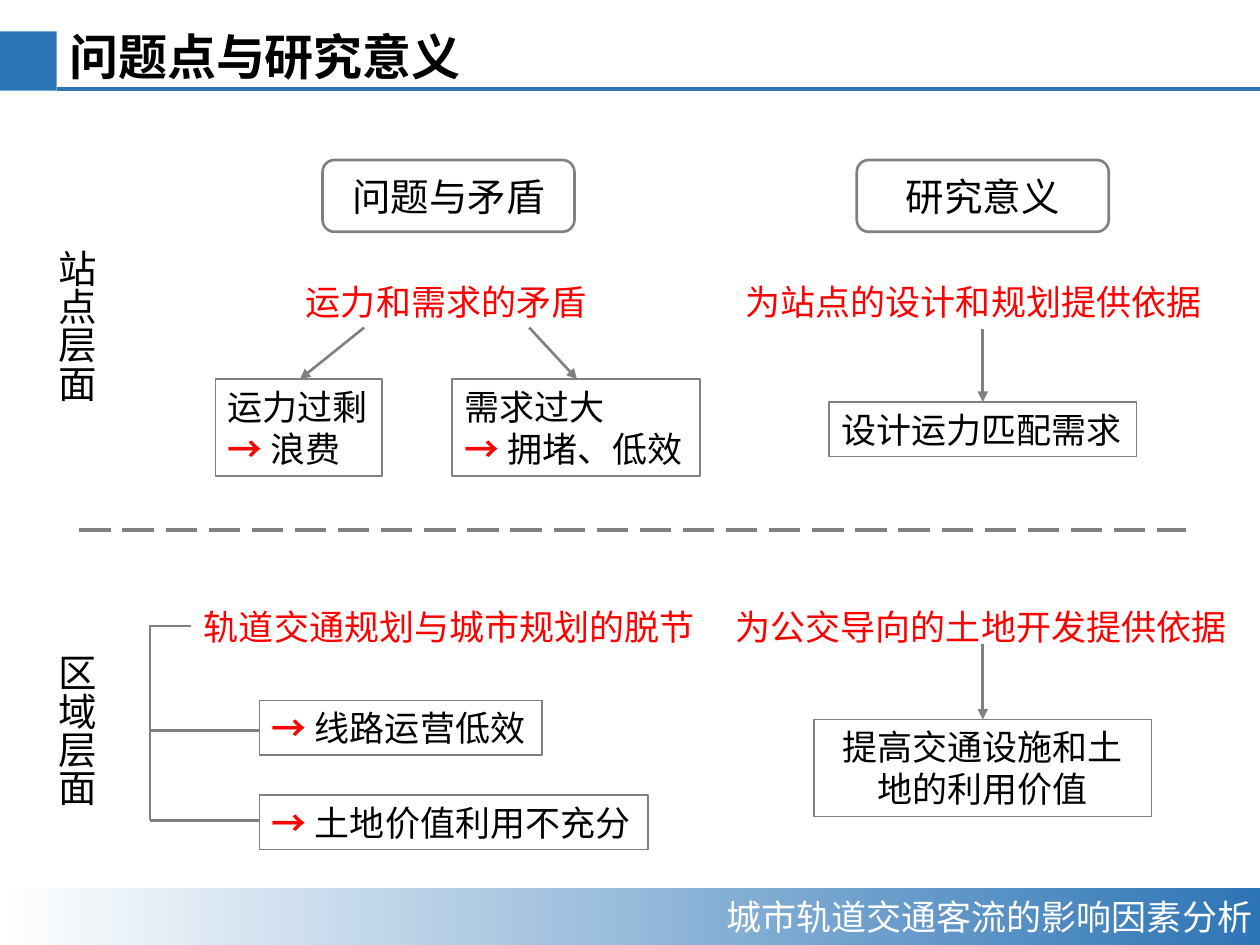
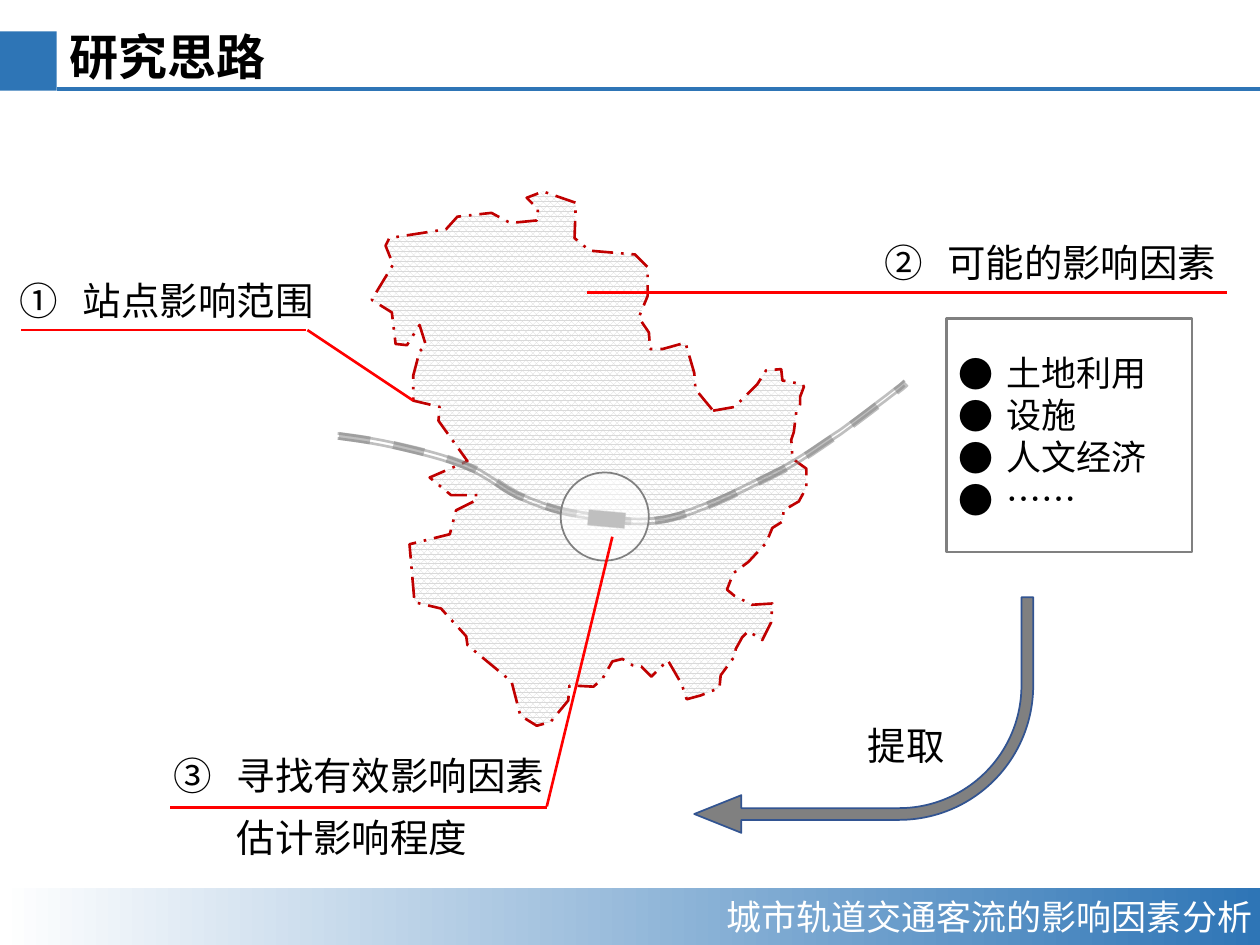
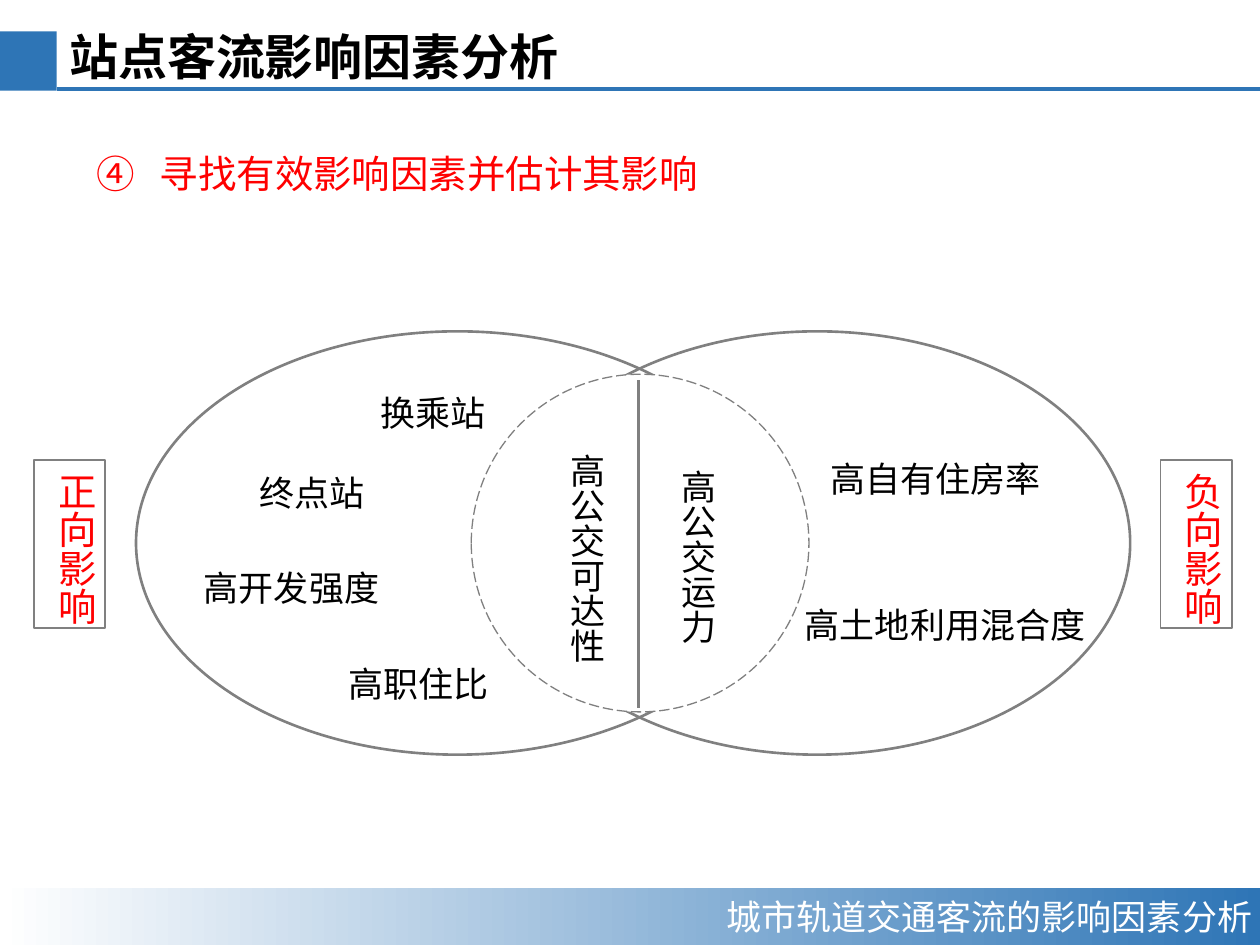
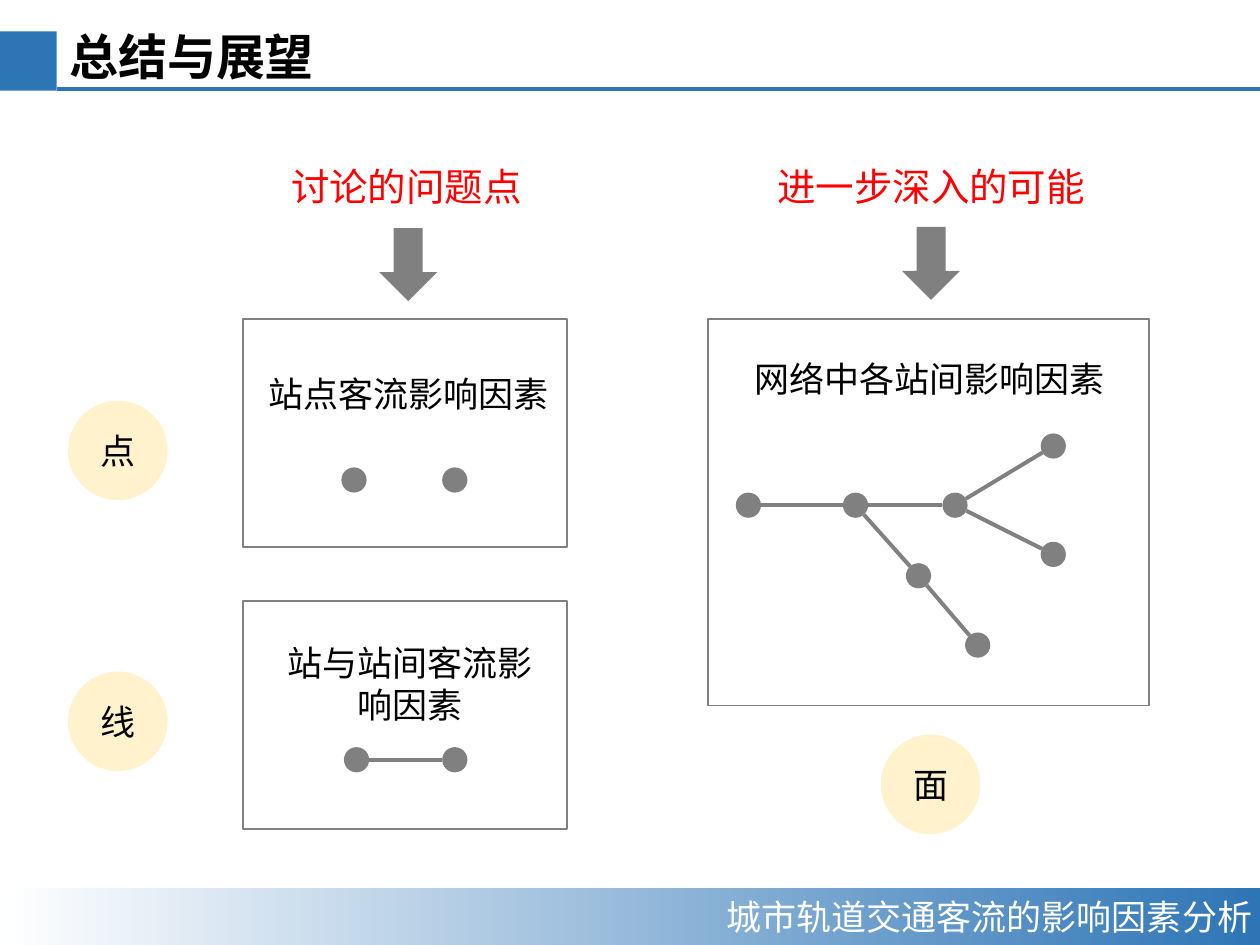
"""Builds a four-page deck on the factors behind urban rail ridership."""
from math import hypot

from lxml.etree import SubElement
from pptx import Presentation
from pptx.dml.color import RGBColor
from pptx.enum.dml import MSO_LINE as Dash, MSO_PATTERN as Pattern
from pptx.enum.shapes import MSO_CONNECTOR as Connector, MSO_SHAPE as Shape
from pptx.enum.text import MSO_ANCHOR as Anchor, MSO_AUTO_SIZE as AutoSize, PP_ALIGN as Align
from pptx.oxml.ns import qn
from pptx.util import Inches, Pt

FONT = "Noto Sans CJK SC"
BLACK = RGBColor(0x00, 0x00, 0x00)
WHITE = RGBColor(0xFF, 0xFF, 0xFF)
RED = RGBColor(0xFF, 0x00, 0x00)
DARK_RED = RGBColor(0xC0, 0x00, 0x00)
BLUE = RGBColor(0x2E, 0x75, 0xB6)
DEEP_BLUE = RGBColor(0x32, 0x54, 0x91)
GRAY = RGBColor(0x80, 0x80, 0x80)
PALE_GRAY = RGBColor(0xD9, 0xD9, 0xD9)
CREAM = RGBColor(0xFF, 0xF2, 0xCC)

COLUMNS = 100
ARROW = "→ "
ARROW_WIDTH = 1.3
NUMBER_INDENT = 5
DOT_RADIUS = 1
FOOTER = "城市轨道交通客流的影响因素分析"
TITLE_ONLY, TITLE_AND_BODY = 5, 1

REGION = [
    (56.6, 32.6), (58.3, 32.3), (60.1, 30.5), (60.8, 29.4), (62, 29.3), (62.1, 30.2),
    (63.7, 30.5), (63.8, 30.7), (63.5, 31.5), (63.5, 32.1), (63.2, 32.7), (63, 34.3),
    (62.8, 34.9), (62.9, 36.4), (64, 37.2), (64, 38.7), (63.4, 39.8), (62.2, 40.5),
    (62.1, 41.4), (61.3, 41.9), (60.8, 43.1), (59.4, 44.6), (58.2, 45.5), (57.7, 46.8),
    (58.3, 47.3), (59.7, 48), (61.3, 47.9), (61.2, 49.4), (60.5, 50.8), (59.4, 50.1),
    (58.9, 50.6), (58.4, 51.5), (58.3, 52.1), (57.2, 53.6), (57.1, 54.6), (55.6, 55.2),
    (54.5, 55.5), (54.1, 54.3), (53, 52.4), (51.7, 53.7), (50.9, 52.9), (50.2, 52.8),
    (49.4, 52.3), (48.6, 52.5), (47.8, 53.9), (47.1, 54.5), (45.2, 54.4), (45.1, 55.6),
    (43.7, 57.3), (42.6, 57.6), (41.3, 56.8), (40.6, 54.1), (37.1, 51.2), (37, 50.5),
    (35, 48.3), (32.9, 47.8), (32.5, 43.2), (35.7, 42.4), (36.2, 40.5), (37.6, 39.8),
    (37.9, 39.3), (35.8, 39.3), (34.1, 37.9), (37.1, 36.6), (34.8, 33.4), (34.9, 32.3),
    (32.8, 31.8), (32.8, 29.8), (33.3, 27.9), (33.8, 27.4), (33.3, 25.8), (32.3, 27.4),
    (31.4, 27.3), (31.1, 24.8), (29.5, 23.8), (31.2, 21), (30.6, 19.5), (30.9, 18.9),
    (35.4, 18.2), (36.3, 17.2), (39, 16.9), (40.5, 17.7), (42.6, 17.5), (42.7, 16.6),
    (41.8, 15.7), (43.1, 15.2), (45.7, 16.1), (45.6, 18.9), (46.8, 19.9), (50.4, 20.2),
    (51.4, 21.2), (51.4, 23.5), (50.7, 25.2), (51.5, 26.4), (51.6, 27.7), (52.6, 27.7),
    (54.4, 27.2), (55.1, 29.6), (55.2, 30.9),
]
RAIL = [
    (26.9, 34.6), (28.4, 34.8), (29.9, 35), (31.6, 35.4), (33.3, 35.8), (35.5, 36.3),
    (37.1, 37), (38.7, 37.6), (39.7, 38.6), (41.1, 39.3), (42.6, 39.9), (43.9, 40.5),
    (45.9, 40.8), (47.8, 41.1), (50.3, 41.7), (52.9, 41.2), (55.4, 40.7), (58.9, 38.9),
    (61.3, 37.7), (63.6, 36.6), (65.2, 35.3), (66.8, 34.3), (68.3, 33.2), (69.6, 32.2),
    (70.4, 31.6), (71.3, 30.9), (71.6, 30.7), (71.9, 30.4),
]


def fade(properties):
    """Makes the solid fill inside the given properties half transparent."""
    SubElement(properties.find(qn("a:solidFill"))[0], qn("a:alpha"), val="50000")


def smooth(controls, steps=8):
    """Returns points along a chain of cubic curves."""
    points = [controls[0]]
    for first in range(0, len(controls) - 1, 3):
        curve = controls[first:first + 4]
        for step in range(1, steps + 1):
            t = step / steps
            weights = ((1 - t) ** 3, 3 * t * (1 - t) ** 2, 3 * t * t * (1 - t), t ** 3)
            points.append(tuple(sum(w * point[axis] for w, point in zip(weights, curve))
                                for axis in (0, 1)))
    return points


class Deck:
    """Holds the style and the current page; lengths are cells of a 100 by 75 grid."""

    def __init__(self):
        self.presentation = Presentation()
        self.presentation.slide_width = Inches(10)
        self.presentation.slide_height = Inches(7.5)
        self.cell = self.presentation.slide_width / COLUMNS
        self.page = None

    def cells(self, *values):
        """Turns grid cells into slide lengths."""
        return [round(value * self.cell) for value in values]

    def start_page(self, title, layout=TITLE_ONLY):
        """Starts a page with its title, header rule and footer band."""
        self.page = self.presentation.slides.add_slide(self.presentation.slide_layouts[layout])
        width, height = self.extent(title, 28)
        heading = self.place(self.page.shapes.title, (4.5, 1.6, width, height))
        self.set_text(heading.text_frame, title, 28, bold=True)
        heading.text_frame.word_wrap = False
        self.shape(Shape.RECTANGLE, (0, 2.5, 4.5, 4.7), fill=BLUE)
        self.line((4.5, 7.1), (100, 7.1), 2.25, BLUE)
        band = self.shape(Shape.RECTANGLE, (0, 70.5, 100, 4.5), FOOTER, color=WHITE,
                          align=Align.RIGHT)
        band.fill.gradient()
        band.fill.gradient_angle = 0
        for stop, color in zip(band.fill.gradient_stops, (WHITE, BLUE)):
            stop.color.rgb = color
        frame = band.text_frame
        frame.margin_left = frame.margin_right = Inches(0.06)
        frame.margin_top = frame.margin_bottom = Inches(0.06)

    def place(self, box, area):
        """Moves a box to an area of the grid."""
        box.left, box.top, box.width, box.height = self.cells(*area)
        return box

    def extent(self, text, size, vertical=False, indent=0):
        """Returns the width and height that a text needs."""
        lines = text.split("\n")
        count = max(len(line) + (ARROW_WIDTH - len(ARROW)) * line.startswith(ARROW)
                    for line in lines)
        length, depth = count * size * 0.14 + indent, len(lines) * size / 6
        return (2 + depth, 1 + length) if vertical else (2 + length, 1 + depth)

    def set_text(self, frame, text, size, color=BLACK, align=Align.LEFT, anchor=Anchor.TOP,
                 bold=False):
        """Sets a text and its format, with leading arrows in bold red."""
        frame.text = text
        frame.auto_size = AutoSize.NONE
        frame.word_wrap = True
        frame.vertical_anchor = anchor
        for para in frame.paragraphs:
            para.alignment = align
            para.space_before = Pt(0)
            if para.text.startswith(ARROW):
                rest = para.text[len(ARROW):]
                para.text = ARROW
                para.add_run().text = rest
            for span in para.runs:
                leads = span.text == ARROW
                span.font.size, span.font.name = Pt(size), FONT
                span.font.bold = bold or leads
                span.font.color.rgb = RED if leads else color
                SubElement(span._r.get_or_add_rPr(), qn("a:ea"), typeface=FONT)

    def indent(self, para, cells, hanging=True):
        """Indents a paragraph and returns its properties."""
        properties = para._p.get_or_add_pPr()
        margin, = self.cells(cells)
        properties.set("marL", str(margin))
        properties.set("indent", str(-margin if hanging else 0))
        return properties

    def label(self, text, col, row, size=20, color=BLACK, boxed=False, vertical=False, indent=0):
        """Adds a text in a box that fits it."""
        area = (col, row, *self.extent(text, size, vertical, indent))
        if boxed:
            box = self.shape(Shape.RECTANGLE, area, line=1)
        else:
            box = self.page.shapes.add_textbox(*self.cells(*area))
        frame = box.text_frame
        self.set_text(frame, text, size, color)
        frame.word_wrap = False
        frame.auto_size = AutoSize.SHAPE_TO_FIT_TEXT
        if vertical:
            frame._txBody.bodyPr.set("vert", "eaVert")
        if indent:
            self.indent(frame.paragraphs[0], indent, hanging=False)
        return box

    def step(self, number, text, col, row, color=BLACK):
        """Adds a label with a circled number."""
        box = self.label(text, col, row, 22, color, indent=NUMBER_INDENT)
        properties = self.indent(box.text_frame.paragraphs[0], NUMBER_INDENT)
        SubElement(properties, qn("a:buAutoNum"), type="circleNumDbPlain", startAt=str(number))

    def bullets(self, items, area):
        """Puts a framed bullet list in the body placeholder."""
        body = self.place(self.page.placeholders[1], area)
        self.outline(body.line, 1.5)
        self.set_text(body.text_frame, "\n".join(items), 20, anchor=Anchor.MIDDLE)
        for para in body.text_frame.paragraphs:
            properties = self.indent(para, 3.8)
            SubElement(properties, qn("a:buFont"), typeface=FONT)
            SubElement(properties, qn("a:buChar"), char="●")

    def outline(self, line, weight, color=GRAY, dash=None):
        """Formats a line, or hides it when its weight is zero."""
        if not weight:
            line.fill.background()
            return
        line.color.rgb, line.width = color, Pt(weight)
        if dash:
            line.dash_style = dash

    def shape(self, kind, area, text="", size=20, color=BLACK, fill=None, line=0,
              line_color=GRAY, dash=None, align=Align.CENTER):
        """Adds a preset shape with an optional text."""
        box = self.page.shapes.add_shape(kind, *self.cells(*area))
        box.shadow.inherit = False
        if fill is None:
            box.fill.background()
        else:
            box.fill.solid()
            box.fill.fore_color.rgb = fill
        self.outline(box.line, line, line_color, dash)
        if text:
            self.set_text(box.text_frame, text, size, color, align, Anchor.MIDDLE)
        return box

    def line(self, start, end, weight=1.5, color=GRAY, dash=None, arrow=False):
        """Adds a straight line or arrow."""
        link = self.page.shapes.add_connector(Connector.STRAIGHT, *self.cells(*start, *end))
        self.outline(link.line, weight, color, dash)
        properties = link._element.spPr
        if arrow:
            SubElement(properties.find(qn("a:ln")), qn("a:tailEnd"), type="triangle")
        SubElement(properties, qn("a:effectLst"))

    def freeform(self, points, weight, color, dash, close):
        """Adds a freeform through the given points."""
        start, *rest = [self.cells(*point) for point in points]
        builder = self.page.shapes.build_freeform(*start)
        builder.add_line_segments(rest, close=close)
        drawn = builder.convert_to_shape()
        drawn.shadow.inherit = False
        drawn.fill.background()
        self.outline(drawn.line, weight, color, dash)
        return drawn

    def network(self, stations, links=()):
        """Adds station dots and the lines between their edges."""
        for first, last in links:
            (x, y), (end_x, end_y) = stations[first], stations[last]
            scale = DOT_RADIUS / hypot(end_x - x, end_y - y)
            dx, dy = (end_x - x) * scale, (end_y - y) * scale
            self.line((x + dx, y + dy), (end_x - dx, end_y - dy), 2.25)
        for x, y in stations:
            self.shape(Shape.OVAL, (x - DOT_RADIUS, y - DOT_RADIUS, 2 * DOT_RADIUS,
                                    2 * DOT_RADIUS), fill=GRAY)


def add_problems(deck):
    """Adds the page on problems and aims."""
    deck.start_page("问题点与研究意义")
    for text, col in (("问题与矛盾", 25.6), ("研究意义", 68)):
        deck.shape(Shape.ROUNDED_RECTANGLE, (col, 12.7, 20, 5.7), text, 22, line=1.5)
    for text, row in (("站点层面", 18.8), ("区域层面", 50.9)):
        deck.label(text, 2.7, row, 22, vertical=True)
    for text, col, row in (("运力和需求的矛盾", 23.3, 21.8),
                           ("为站点的设计和规划提供依据", 58.2, 21.8),
                           ("轨道交通规划与城市规划的脱节", 15.2, 47.6),
                           ("为公交导向的土地开发提供依据", 57.4, 47.6)):
        deck.label(text, col, row, color=RED)
    for text, col, row in (("运力过剩\n→ 浪费", 17.1, 30.1),
                           ("需求过大\n→ 拥堵、低效", 35.9, 30.1),
                           ("设计运力匹配需求", 65.8, 31.9),
                           ("→ 线路运营低效", 20.6, 55.6),
                           ("→ 土地价值利用不充分", 20.6, 63.1)):
        deck.label(text, col, row, boxed=True)
    deck.shape(Shape.RECTANGLE, (64.6, 57.1, 26.8, 7.7), "提高交通设施和土地的利用价值", line=1)
    for start, end in (((28.9, 26), (23.8, 30.1)), ((42, 26), (45.8, 30.1)),
                       ((78, 26.1), (78, 31.9)), ((78, 51.1), (78, 57.1))):
        deck.line(start, end, arrow=True)
    deck.line((6.3, 42.1), (94.1, 42.1), 2.25, dash=Dash.LONG_DASH)
    deck.line((11.9, 49.6), (11.9, 65.1))
    for row, end in ((49.7, 15.2), (58, 20.6), (65.1, 20.6)):
        deck.line((11.9, row), (end, row))


def add_approach(deck):
    """Adds the page with the station area and the three steps."""
    deck.start_page("研究思路", TITLE_AND_BODY)
    deck.bullets(("土地利用", "设施", "人文经济", "……"), (75.1, 25.3, 19.5, 18.5))
    area = deck.freeform(REGION, 1.5, DARK_RED, Dash.LONG_DASH_DOT, True)
    area.fill.patterned()
    area.fill.pattern = Pattern.PERCENT_75
    area.fill.fore_color.rgb, area.fill.back_color.rgb = PALE_GRAY, WHITE
    for dx, dy, weight, dash in ((0, 0, 4.5, Dash.DASH), (-0.1, 0.2, 1.5, Dash.SOLID),
                                 (-0.1, -0.2, 1.5, Dash.SOLID)):
        track = [(x + dx, y + dy) for x, y in smooth(RAIL)]
        rail = deck.freeform(track, weight, GRAY, dash, False)
        fade(rail._element.spPr.find(qn("a:ln")))
    station = deck.shape(Shape.RECTANGLE, (46.7, 40.6, 2.9, 1.2), fill=GRAY, line=0.75)
    station.rotation = 5.2
    fade(station._element.spPr.find(qn("a:ln")))
    halo = deck.shape(Shape.OVAL, (44.5, 37.5, 7, 7), fill=WHITE, line=1)
    fade(halo._element.spPr)
    for start, end in (((46.6, 23.2), (97.4, 23.2)), ((48.6, 42.6), (43.4, 64)),
                       ((13.5, 64.1), (43.4, 64.1)), ((24.4, 26.2), (32.8, 31.8)),
                       ((1.7, 26.2), (24.3, 26.2))):
        deck.line(start, end, color=RED)
    deck.step(1, "站点影响范围", 0.6, 21.5)
    deck.step(2, "可能的影响因素", 69.2, 18.5)
    deck.step(3, "寻找有效影响因素", 12.8, 59.2)
    deck.label("估计影响程度", 12.8, 64.1, 22, indent=NUMBER_INDENT)
    deck.label("提取", 67.9, 56.8, 22)
    arrow = deck.shape(Shape.BENT_ARROW, (55.1, 47.4, 26.9, 18.7), fill=GRAY, line=1,
                       line_color=DEEP_BLUE)
    arrow.rotation = 180
    for index, value in enumerate((0.05, 0.08, 0.2, 0.57)):
        arrow.adjustments[index] = value


def add_factors(deck):
    """Adds the page with positive and negative factors."""
    deck.start_page("站点客流影响因素分析")
    deck.step(4, "寻找有效影响因素并估计其影响", 6.7, 11.4, RED)
    for text, col in (("正向影响", 2.7), ("负向影响", 92.1)):
        deck.label(text, col, 36.5, 22, RED, boxed=True, vertical=True)
    for col, width in ((10.8, 51), (40, 49.7)):
        deck.shape(Shape.OVAL, (col, 26.3, width, 33.6), line=1.5)
    deck.shape(Shape.OVAL, (37.4, 29.7, 26.8, 26.8), fill=WHITE, line=0.75, dash=Dash.LONG_DASH)
    deck.line((50.7, 30.2), (50.7, 56.2))
    for text, col, row in (("换乘站", 29.2, 30.6), ("终点站", 19.6, 36.9),
                           ("高开发强度", 15.2, 44.5), ("高职住比", 26.7, 52.1),
                           ("高自有住房率", 64.9, 35.8), ("高土地利用混合度", 62.9, 47.4)):
        deck.label(text, col, row)
    for text, col, row in (("高公交可达性", 43.4, 35), ("高公交运力", 52.2, 36.3)):
        deck.label(text, col, row, vertical=True)


def add_outlook(deck):
    """Adds the closing page with points, lines and networks."""
    deck.start_page("总结与展望")
    for text, col, width in (("讨论的问题点", 21.4, 21.7), ("进一步深入的可能", 58.5, 30.8)):
        deck.shape(Shape.ROUNDED_RECTANGLE, (col, 11.9, width, 5.7), text, 22, RED)
    for col, row in ((30.1, 18.1), (71.6, 18)):
        deck.shape(Shape.DOWN_ARROW, (col, row, 4.6, 5.8), fill=GRAY)
    for area in ((19.3, 25.3, 25.7, 18.1), (19.3, 47.7, 25.7, 18.1), (56.2, 25.3, 35, 30.7)):
        deck.shape(Shape.RECTANGLE, area, line=1)
    deck.label("站点客流影响因素", 20.3, 29.1)
    deck.label("网络中各站间影响因素", 58.9, 27.9)
    deck.shape(Shape.RECTANGLE, (21.5, 50.4, 22.1, 7.7), "站与站间客流影响因素")
    for text, col, row in (("点", 5.4, 31.8), ("线", 5.4, 53.3), ("面", 69.9, 58.3)):
        deck.shape(Shape.OVAL, (col, row, 7.9, 7.9), text, fill=CREAM)
    deck.network([(28.1, 38.1), (36.1, 38.1)])
    deck.network([(28.3, 60.3), (36.1, 60.3)], [(0, 1)])
    deck.network([(59.4, 40.1), (67.9, 40.1), (75.8, 40.1), (83.6, 44), (83.6, 35.4),
                  (72.9, 45.7), (77.6, 51.2)],
                 [(0, 1), (1, 2), (2, 3), (2, 4), (1, 5), (5, 6)])


def main():
    """Builds and saves the deck."""
    deck = Deck()
    for add_page in (add_problems, add_approach, add_factors, add_outlook):
        add_page(deck)
    deck.presentation.save("out.pptx")


if __name__ == "__main__":
    main()
